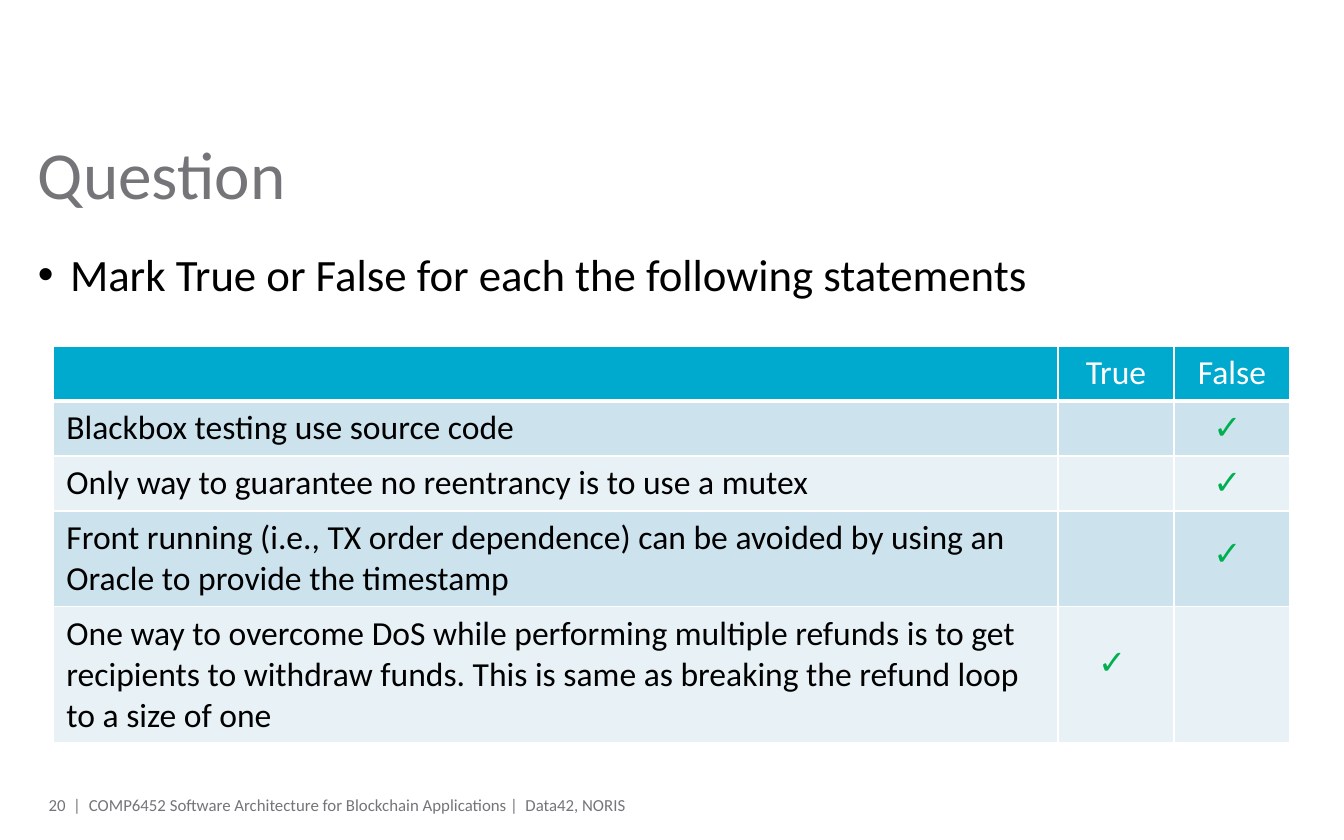
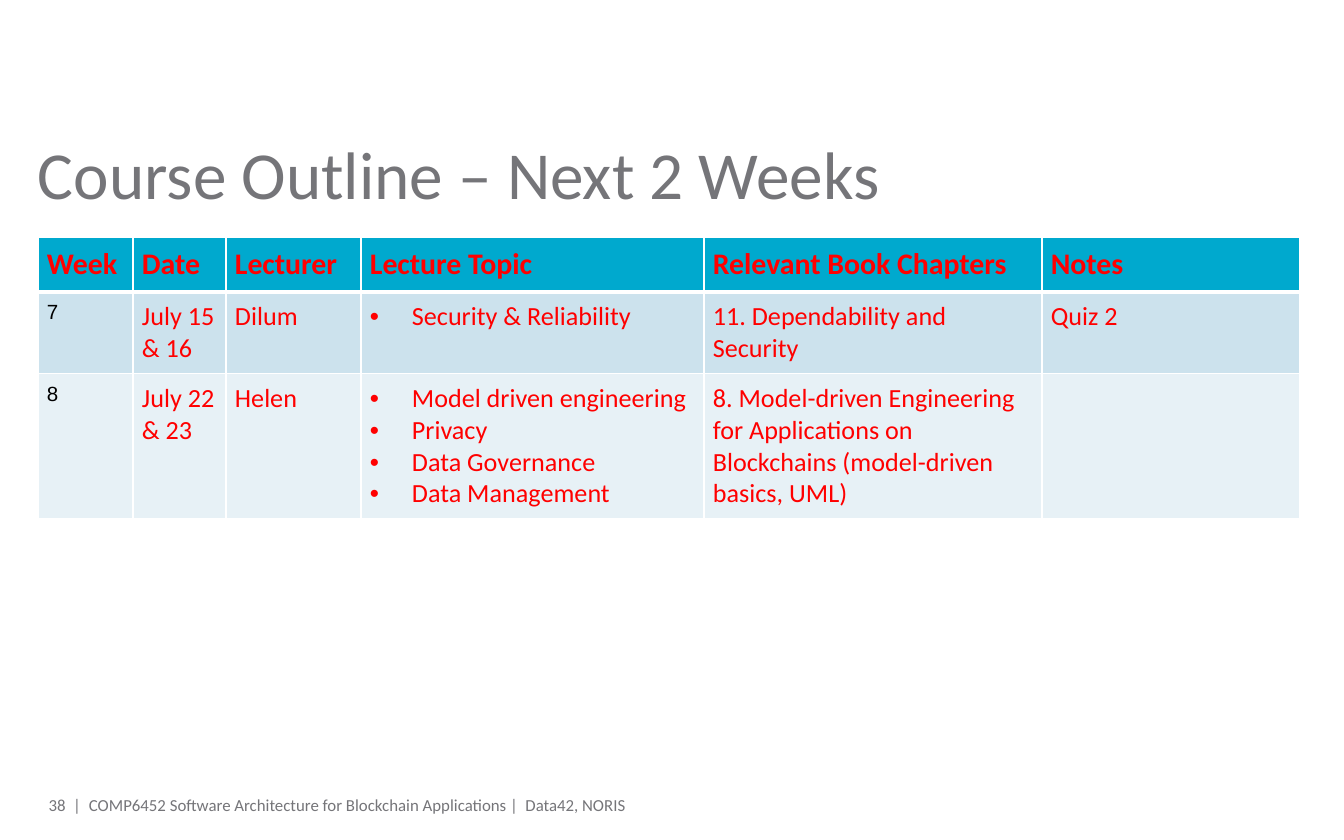
from lxml.etree import SubElement
from pptx import Presentation
from pptx.dml.color import RGBColor as Rgb
from pptx.enum.text import MSO_ANCHOR as Anchor, MSO_AUTO_SIZE as Fit, PP_ALIGN as Align
from pptx.oxml import parse_xml
from pptx.oxml.ns import nsdecls, qn
from pptx.util import Emu, Pt

HUES = {
    "gray": "757579", "head": "00A9CE", "odd": "CCE2ED", "even": "E7F1F6",
    "white": "FFFFFF", "black": "000000", "red": "FF0000", "green": "00B050",
}
COURSE = "COMP6452 Software Architecture for Blockchain Applications |  Data42, NORIS"
QUIZ = [
    ["", "True", "False"],
    ["Blackbox testing use source code", "", ""],
    ["Only way to guarantee no reentrancy is to use a mutex", "", ""],
    ["Front running (i.e., TX order dependence) can be avoided by using an "
     "Oracle to provide the timestamp", "", ""],
    ["One way to overcome DoS while performing multiple refunds is to get "
     "recipients to withdraw funds. This is same as breaking the refund loop "
     "to a size of one", "", ""],
]
TICKS = [(1200, 399), (1200, 454), (1200, 525), (1085, 634)]
PLAN = [
    ["Week", "Date", "Lecturer", "Lecture Topic", "Relevant Book Chapters", "Notes"],
    ["7", "July 15 & 16", "Dilum", "Security & Reliability",
     "11. Dependability and Security", "Quiz 2"],
    ["8", "July 22 & 23", "Helen",
     "Model driven engineering\nPrivacy\nData Governance\nData Management",
     "8. Model-driven Engineering for Applications on Blockchains "
     "(model-driven basics, UML)", ""],
]
TOPIC = 3


def px(num):
    """Turn pixels into EMU."""
    return Emu(round(num * 914400 / 134.4))


def style(frame, size, hue, face="Calibri", bold=False, align=Align.LEFT):
    """Format every paragraph and run of a text frame."""
    for para in frame.paragraphs:
        para.alignment = align
        for run in para.runs:
            font = run.font
            font.size, font.name, font.bold = Pt(size), face, bold
            font.color.rgb = Rgb.from_string(HUES[hue])


def bullet(para, gap):
    """Give a paragraph a round bullet and a hanging indent."""
    props = para._p.get_or_add_pPr()
    props.set("marL", str(px(gap)))
    props.set("indent", str(-px(gap)))
    SubElement(props, qn("a:buFont")).set("typeface", "Arial")
    SubElement(props, qn("a:buChar")).set("char", "•")


def place(shape, box):
    """Move and size a shape."""
    shape.left, shape.top, shape.width, shape.height = map(px, box)


def strip(frame, anchor):
    """Clear the margins of a text frame and fix its anchor."""
    frame.margin_left = frame.margin_right = 0
    frame.margin_top = frame.margin_bottom = 0
    frame.word_wrap, frame.auto_size = True, Fit.NONE
    frame.vertical_anchor = anchor


def holder(shape, box, text, size, hue):
    """Fill a placeholder and return its text frame."""
    place(shape, box)
    frame = shape.text_frame
    strip(frame, Anchor.TOP)
    frame.text = text
    style(frame, size, hue)
    return frame


def label(slide, box, text, align):
    """Add one footer text."""
    frame = slide.shapes.add_textbox(*map(px, box)).text_frame
    strip(frame, Anchor.MIDDLE)
    frame.text = text
    style(frame, 9, "gray", align=align)


def start(deck, layout, title, page):
    """Add a slide with its title and footer."""
    slide = deck.slides.add_slide(deck.slide_layouts[layout])
    holder(slide.shapes.title, (38, 132, 1270, 105), title, 36, "gray")
    label(slide, (89, 797, 894, 15), COURSE, Align.LEFT)
    label(slide, (38, 797, 43, 16), f"{page}  |", Align.RIGHT)
    return slide


def edge(cell, base):
    """Draw white borders, with the given bottom width in points."""
    props = cell._tc.get_or_add_tcPr()
    for spot, (side, width) in enumerate(zip("LRTB", (1, 1, 1, base))):
        props.insert(spot, parse_xml(
            f'<a:ln{side} {nsdecls("a")} w="{Pt(width)}"><a:solidFill>'
            f'<a:srgbClr val="{HUES["white"]}"/></a:solidFill></a:ln{side}>'))


def grid(slide, spot, cols, high, data):
    """Add a banded table and return it."""
    frame = slide.shapes.add_table(
        len(data), len(cols), *map(px, (*spot, sum(cols), high)))
    table = frame.table
    for col, width in zip(table.columns, cols):
        col.width = px(width)
    for r, line in enumerate(data):
        table.rows[r].height = px(55)
        band = "head" if r == 0 else ("even", "odd")[r % 2]
        for c, text in enumerate(line):
            cell = table.cell(r, c)
            cell.text = text
            cell.fill.solid()
            cell.fill.fore_color.rgb = Rgb.from_string(HUES[band])
            edge(cell, 3 if r == 0 else 1)
    frame.height = px(high)
    return table


def tick(slide, left, top):
    """Add a check mark."""
    frame = slide.shapes.add_textbox(*map(px, (left, top, 52, 54))).text_frame
    frame.word_wrap, frame.auto_size = False, Fit.SHAPE_TO_FIT_TEXT
    frame.text = "✓"
    style(frame, 18, "green", "Roboto", True, Align.CENTER)


def quiz(deck):
    """Build the question slide."""
    slide = start(deck, 1, "Question", 20)
    frame = holder(slide.placeholders[1], (38, 253, 1270, 105),
                   "Mark True or False for each the following statements", 24, "black")
    para = frame.paragraphs[0]
    para.line_spacing, para.space_before = 0.9, Pt(6)
    bullet(para, 32)
    table = grid(slide, (53, 346), (1005, 116, 116), 392, QUIZ)
    for r, row in enumerate(table.rows):
        for c, cell in enumerate(row.cells):
            style(cell.text_frame, 18, "black" if r else "white",
                  align=Align.CENTER if c else Align.LEFT)
    for spot in TICKS:
        tick(slide, *spot)


def plan(deck):
    """Build the course outline slide."""
    slide = start(deck, 5, "Course Outline – Next 2 Weeks", 38)
    table = grid(slide, (38, 237), (95, 93, 135, 343, 338, 258), 280, PLAN)
    for r, row in enumerate(table.rows):
        for c, cell in enumerate(row.cells):
            cell.margin_left = cell.margin_right = px(9)
            cell.margin_top = cell.margin_bottom = px(9)
            frame = cell.text_frame
            if r == 0:
                style(frame, 16, "red", bold=True)
            elif c == 0:
                style(frame, 11, "black", "Arial")
            else:
                style(frame, 14, "red")
            if r and c == TOPIC:
                for para in frame.paragraphs:
                    bullet(para, 42)


def main():
    """Build and save the deck."""
    deck = Presentation()
    deck.slide_width, deck.slide_height = px(1344), px(840)
    quiz(deck)
    plan(deck)
    deck.save("out.pptx")


if __name__ == "__main__":
    main()
